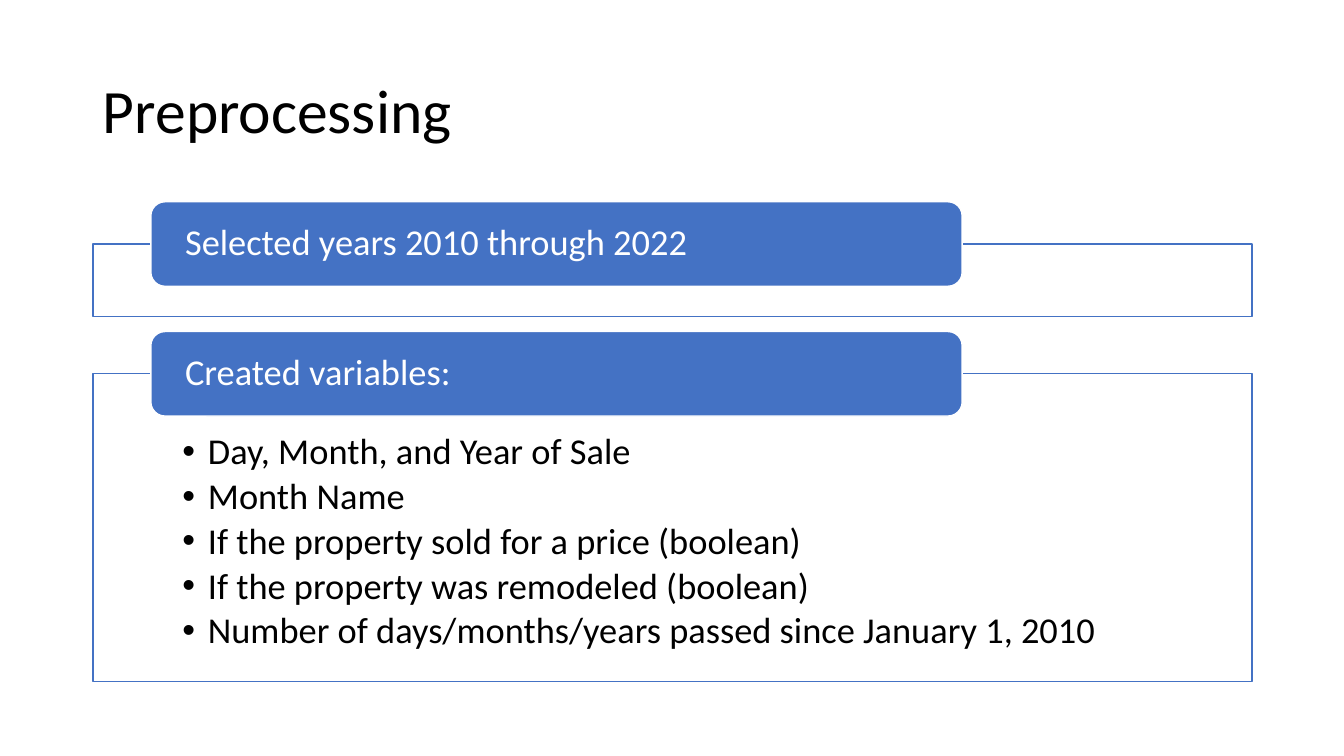
from lxml import etree
from pptx import Presentation
from pptx import util as u
from pptx.dml.color import RGBColor
from pptx.enum import shapes, text
from pptx.oxml.ns import qn

BLUE, WHITE, BLACK = "4472C4", "FFFFFF", "000000"
TAB_H = 2.13
GAP = 1.44
SECTIONS = [
    ("Selected years 2010 through 2022", 1.83, []),
    ("Created variables:", 7.75, [
        "Day, Month, and Year of Sale",
        "Month Name",
        "If the property sold for a price (boolean)",
        "If the property was remodeled (boolean)",
        "Number of days/months/years passed since January 1, 2010",
    ]),
]


def rgb(value):
    """Return the colour for a hex string."""
    return RGBColor.from_string(value)


def apply(obj, formats):
    """Set each attribute named in a dict of format values."""
    for name, value in formats.items():
        setattr(obj, name, value)


def write(p, words, size, color, after=0):
    """Fill a paragraph with one formatted run."""
    apply(p, {"alignment": text.PP_ALIGN.LEFT, "line_spacing": 0.9,
              "space_before": u.Pt(0), "space_after": u.Pt(after)})
    r = p.add_run()
    r.text = words
    apply(r.font, {"name": "Calibri", "size": u.Pt(size)})
    r.font.color.rgb = rgb(color)


def add_bullet(p):
    """Give a paragraph a hanging round bullet."""
    pPr = p._p.get_or_add_pPr()
    indent = u.Cm(0.64)
    pPr.set("marL", str(indent))
    pPr.set("indent", str(-indent))
    etree.SubElement(pPr, qn("a:buFont")).set("typeface", "Arial")
    etree.SubElement(pPr, qn("a:buChar")).set("char", "•")


def add_box(s, kind, box, fill, line, anchor, margins):
    """Add a filled, outlined shape and return its text frame."""
    sp = s.shapes.add_shape(kind, *map(u.Cm, box))
    sp.shadow.inherit = False
    sp.fill.solid()
    sp.fill.fore_color.rgb = rgb(fill)
    sp.line.color.rgb = rgb(line)
    sp.line.width = u.Pt(1)
    side, top, bottom = map(u.Cm, margins)
    tf = sp.text_frame
    apply(tf, {"word_wrap": True, "vertical_anchor": anchor,
               "margin_left": side, "margin_right": side,
               "margin_top": top, "margin_bottom": bottom})
    return tf


def add_title(s, words, box):
    """Place and format the title placeholder."""
    sp = s.shapes.title
    apply(sp, dict(zip(("left", "top", "width", "height"), map(u.Cm, box))))
    sp.text_frame.vertical_anchor = text.MSO_ANCHOR.MIDDLE
    write(sp.text_frame.paragraphs[0], words, 44, BLACK)


def add_section(s, heading, items, box):
    """Add an outlined panel with a heading tab across its top edge."""
    x, y, w, h = box
    tf = add_box(s, shapes.MSO_SHAPE.RECTANGLE, box, WHITE, BLUE,
                 text.MSO_ANCHOR.TOP, (2.26, 1.5, 0.5))
    for i, item in enumerate(items):
        p = tf.add_paragraph() if i else tf.paragraphs[0]
        write(p, item, 26, BLACK, 3.9)
        add_bullet(p)
    tab = (x + w * 0.05, y - TAB_H / 2, w * 0.7, TAB_H)
    tf = add_box(s, shapes.MSO_SHAPE.ROUNDED_RECTANGLE, tab, BLUE, WHITE,
                 text.MSO_ANCHOR.MIDDLE, (0.76, 0, 0))
    write(tf.paragraphs[0], heading, 26, WHITE)


def main():
    """Build and save the slide."""
    prs = Presentation()
    apply(prs, {"slide_width": u.Cm(33.87), "slide_height": u.Cm(19.05)})
    s = prs.slides.add_slide(prs.slide_layouts[5])
    left, width, top = 2.34, 29.21, 6.15
    add_title(s, "Preprocessing", (left, 1.02, width, 3.68))
    for heading, height, items in SECTIONS:
        add_section(s, heading, items, (left, top, width, height))
        top += height + GAP
    prs.save("out.pptx")


if __name__ == "__main__":
    main()
